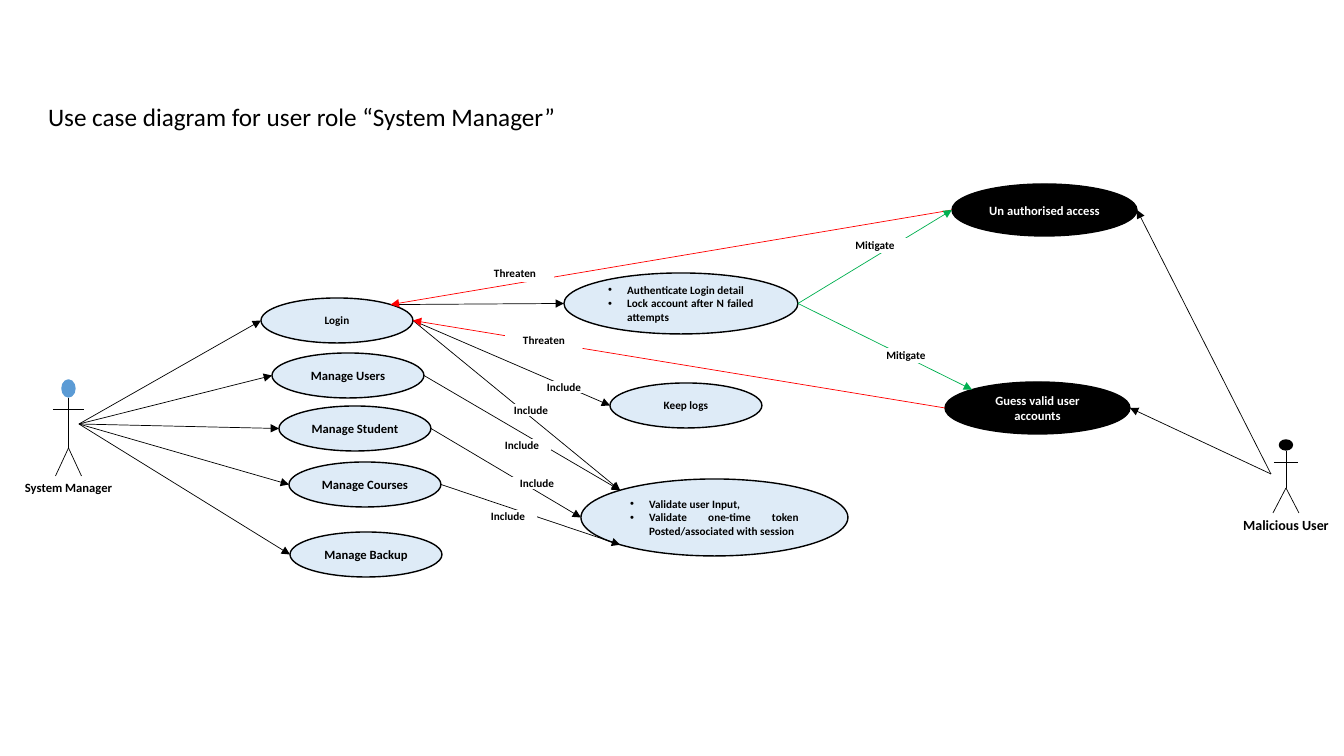
import math

import pptx
import pptx.util
import pptx.dml.color
import pptx.enum.shapes
import pptx.enum.text
import pptx.oxml.ns
import lxml.etree

SCALE = 914400 / 100.8  # EMU per pixel
FONT = "Calibri"
COLORS = {"black": "000000", "white": "FFFFFF", "pale": "DEEBF7",
          "blue": "5B9BD5", "red": "FF0000", "green": "00B050"}
ALIGN = pptx.enum.text.PP_ALIGN
SHAPE = pptx.enum.shapes.MSO_SHAPE

# name: (left, top, width, height, lines, format)
SMALL, BULLETS = {"size": 8}, {"size": 8, "bullet": True}
THREAT = {"fill": "black", "color": "white"}
USE_CASES = {
    "login": (261, 298, 152, 45, ["Login"], SMALL),
    "users": (272, 353, 152, 45, ["Manage Users"], {}),
    "student": (279, 406, 152, 45, ["Manage Student"], {}),
    "courses": (289, 462, 152, 45, ["Manage Courses"], {}),
    "backup": (290, 532, 152, 45, ["Manage Backup"], {}),
    "authenticate": (564, 273, 234, 61, ["Authenticate Login detail",
                     "Lock account after N failed attempts"], BULLETS),
    "logs": (610, 383, 152, 45, ["Keep logs"], SMALL),
    "validate": (581, 479, 267, 77, ["Validate user Input,",
                 "Validate one-time token Posted/associated with session"], BULLETS),
    "access": (952, 184, 185, 52, ["Un authorised access"], THREAT),
    "guess": (945, 382, 185, 52, ["Guess valid user accounts"], THREAT),
}

# position of a site on the ellipse, in degrees clockwise from the right
SITES = {"right": 0, "lower left": 135, "left": 180,
         "upper left": 225, "upper right": 315}
RELATIONS = [
    ("login", "upper right", "authenticate", "left", "black"),
    ("login", "right", "logs", "left", "black"),
    ("login", "right", "validate", "upper left", "black"),
    ("users", "right", "validate", "upper left", "black"),
    ("student", "right", "validate", "left", "black"),
    ("courses", "right", "validate", "lower left", "black"),
    ("access", "left", "login", "upper right", "red"),
    ("guess", "left", "login", "right", "red"),
    ("authenticate", "right", "access", "left", "green"),
    ("authenticate", "right", "guess", "upper left", "green"),
]

# wording: (width, height, places of the top left corner)
LABELS = {
    "Threaten": (76, 16, [(477, 265), (506, 332)]),
    "Mitigate": (76, 13, [(837, 239), (868, 349)]),
    "Include": (56, 10, [(536, 382), (503, 405), (494, 440), (509, 478), (480, 511)]),
}


def px(*lengths):
    """Turn pixels into EMU."""
    return [pptx.util.Emu(round(length * SCALE)) for length in lengths]


def rgb(name):
    """Look up a named colour."""
    return pptx.dml.color.RGBColor.from_string(COLORS[name])


def write_text(shape, lines, size=9, color="black", bold=True,
               align=ALIGN.CENTER, bullet=False, inset=10,
               anchor=pptx.enum.text.MSO_ANCHOR.MIDDLE):
    """Fill a shape with one formatted paragraph per line."""
    frame = shape.text_frame
    frame.word_wrap = True
    frame.vertical_anchor = anchor
    frame.margin_left = frame.margin_right = px(inset)[0]
    frame.margin_top = frame.margin_bottom = px(inset / 2)[0]
    for number, line in enumerate(lines):
        para = frame.add_paragraph() if number else frame.paragraphs[0]
        para.alignment = ALIGN.JUSTIFY if bullet else align
        if bullet:
            properties = para._p.get_or_add_pPr()
            indent = px(19)[0]
            properties.set("marL", str(indent))
            properties.set("indent", str(-indent))
            mark = lxml.etree.SubElement(properties, pptx.oxml.ns.qn("a:buFont"))
            mark.set("typeface", "Arial")
            mark = lxml.etree.SubElement(properties, pptx.oxml.ns.qn("a:buChar"))
            mark.set("char", "•")
        span = para.add_run()
        span.text = line
        span.font.name, span.font.bold = FONT, bold
        span.font.size = pptx.util.Pt(size)
        span.font.color.rgb = rgb(color)


def add_text_box(page, box, line, **style):
    """Place a plain line of text."""
    write_text(page.shapes.add_textbox(*px(*box)), [line],
               anchor=pptx.enum.text.MSO_ANCHOR.TOP, **style)


def add_filled(page, kind, box, fill, outline):
    """Place a preset shape with a flat fill and a thin outline."""
    shape = page.shapes.add_shape(kind, *px(*box))
    shape.shadow.inherit = False
    shape.fill.solid()
    shape.fill.fore_color.rgb = rgb(fill)
    shape.line.color.rgb = rgb(outline)
    shape.line.width = pptx.util.Pt(1)
    return shape


def add_line(page, start, end, color="black", arrow=False):
    """Draw a straight line, with an arrowhead at its end if asked."""
    line = page.shapes.add_connector(
        pptx.enum.shapes.MSO_CONNECTOR.STRAIGHT, *px(*start, *end))
    line.line.color.rgb = rgb(color)
    line.line.width = pptx.util.Pt(0.5)
    if arrow:
        head = lxml.etree.SubElement(line.line._get_or_add_ln(),
                                     pptx.oxml.ns.qn("a:tailEnd"))
        head.set("type", "triangle")
    lxml.etree.SubElement(line._element.spPr, pptx.oxml.ns.qn("a:effectLst"))


def site(name, side):
    """Find the point on the rim of a use case."""
    left, top, width, height = USE_CASES[name][:4]
    angle = math.radians(SITES[side])
    return (left + width / 2 * (1 + math.cos(angle)),
            top + height / 2 * (1 + math.sin(angle)))


def draw_use_case(page, box, lines, fill="pale", **style):
    """Draw one oval with its wording."""
    write_text(add_filled(page, SHAPE.OVAL, box, fill, "black"), lines, **style)


def draw_actor(page, box, name, head, hip, color, label_width, size):
    """Draw a stick figure in the box, with its name below."""
    left, top, width, height = box
    middle, bottom, arms = left + width / 2, top + height, top + height * 0.31
    add_filled(page, SHAPE.OVAL, (middle - 6.5, top, 13, head), color, color)
    add_line(page, (middle, top + head + 1), (middle, top + hip))
    add_line(page, (left, arms), (left + width, arms))
    for foot in (-13, 13):
        add_line(page, (middle, top + hip), (middle + foot, bottom))
    add_text_box(page, (middle - label_width / 2, bottom - 1, label_width, 25),
                 name, size=size)


def draw_relations(page, hands):
    """Draw the arrows between use cases and from each actor's hand."""
    for source, out, target, into, color in RELATIONS:
        add_line(page, site(source, out), site(target, into), color, arrow=True)
    for hand, side, targets in hands:
        for target in targets:
            add_line(page, hand, site(target, side), arrow=True)


def draw_labels(page):
    """Lay the white captions over the arrows."""
    for wording, (width, height, places) in LABELS.items():
        for place in places:
            patch = add_filled(page, SHAPE.RECTANGLE, (*place, width, height),
                               "white", "white")
            write_text(patch, [wording], size=8, inset=0)


def draw_diagram(page):
    """Build the whole use case diagram."""
    add_text_box(page, (38, 96, 538, 40),
                 "Use case diagram for user role “System Manager”",
                 size=18, bold=False, align=ALIGN.LEFT)
    draw_actor(page, (53, 380, 31, 96), "System Manager", head=17, hip=68,
               color="blue", label_width=123, size=9)
    draw_actor(page, (1274, 440, 24, 73), "Malicious User", head=10, hip=48,
               color="black", label_width=112, size=10)
    for *box, lines, style in USE_CASES.values():
        draw_use_case(page, box, lines, **style)
    draw_relations(page, [
        ((79, 424), "left", ["login", "users", "student", "courses", "backup"]),
        ((1271, 474), "right", ["access", "guess"]),
    ])
    draw_labels(page)


deck = pptx.Presentation()
deck.slide_width, deck.slide_height = px(1344, 756)
draw_diagram(deck.slides.add_slide(deck.slide_layouts[6]))
deck.save("out.pptx")
